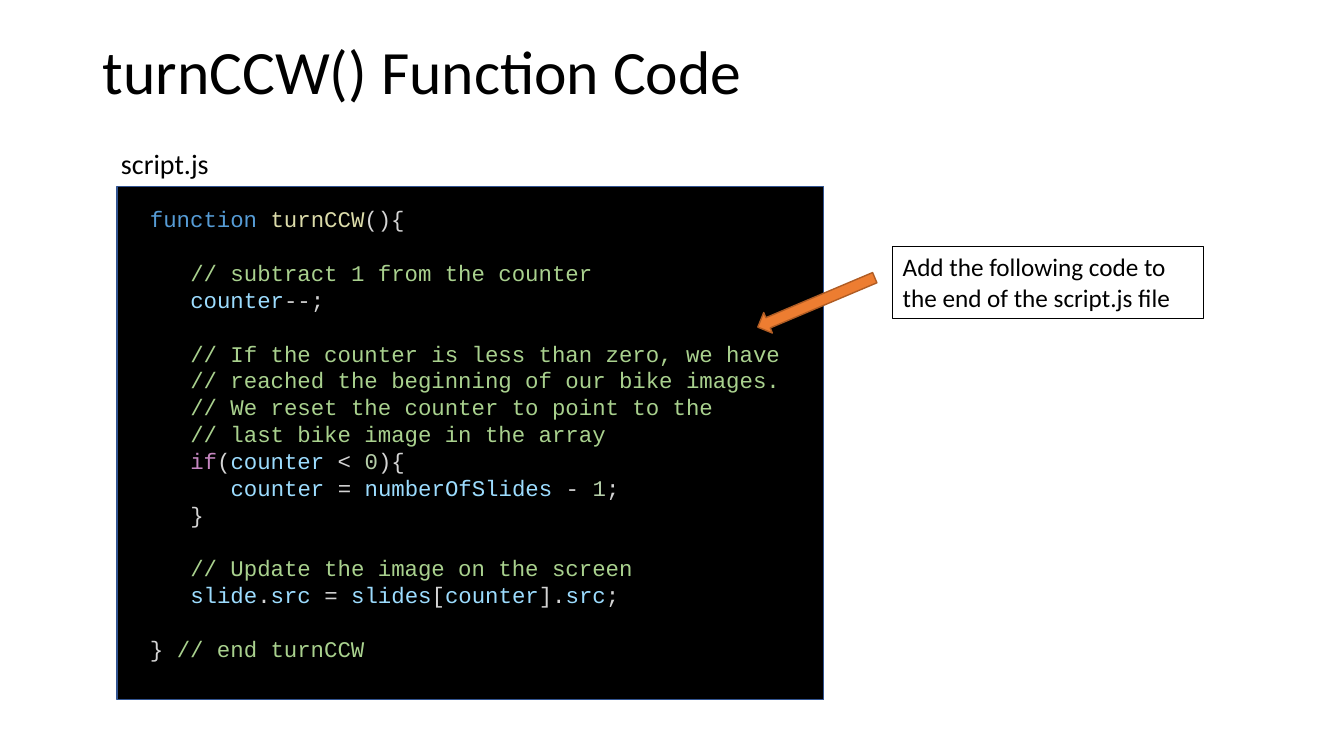
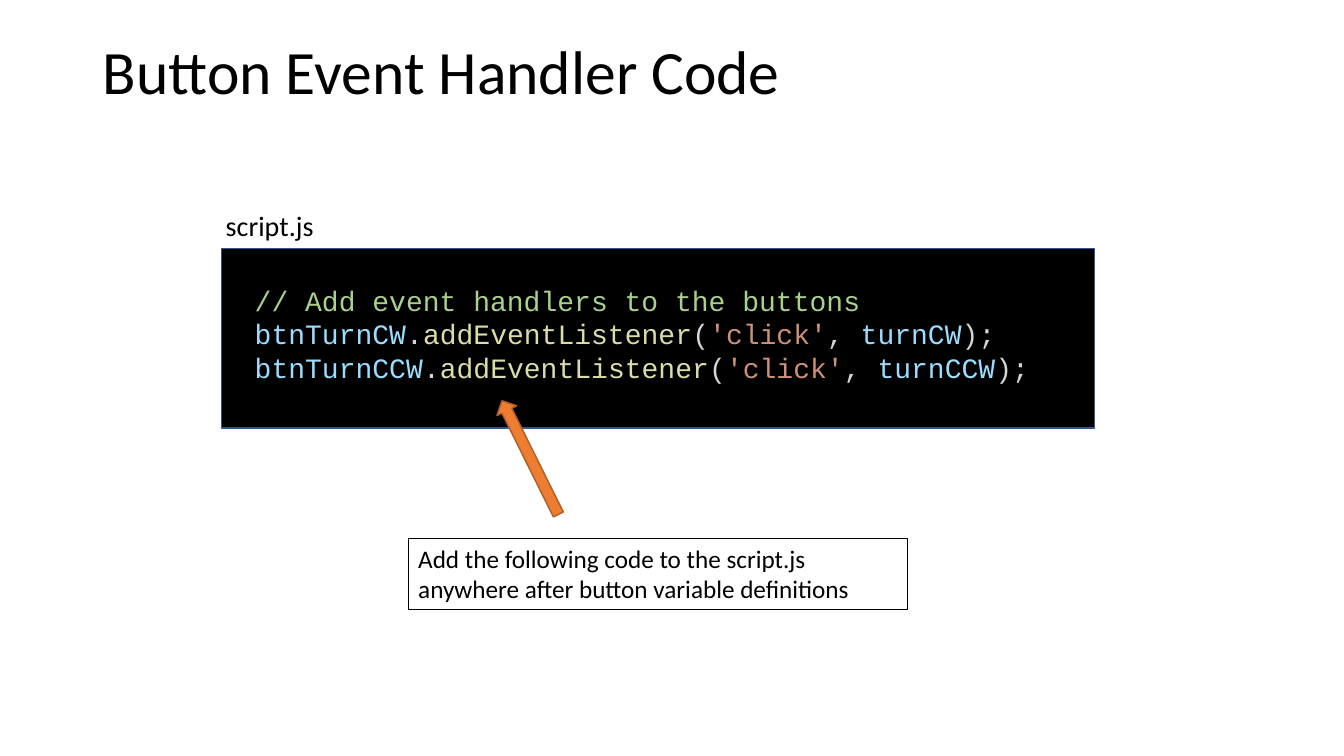
from dataclasses import dataclass

from pptx import Presentation
from pptx.dml.color import RGBColor
from pptx.enum.shapes import MSO_SHAPE
from pptx.enum.text import MSO_ANCHOR, PP_ALIGN
from pptx.shapes.autoshape import Shape
from pptx.slide import Slide
from pptx.text.text import Font
from pptx.util import Cm, Pt

# Shared style
SANS, MONO = "Calibri", "Courier New"
BLACK, BLUE = "000000", "325491"
ORANGE, RUST = "ED7D31", "AF5C24"
TINTS = {
    "key": "569CD6",
    "flow": "C586C0",
    "func": "DCDCAA",
    "var": "9CDCFE",
    "num": "B5CEA8",
    "str": "CE9178",
    "note": "A9D18E",
    "sign": "D4D4D4",
}
Token = tuple[str, str]


@dataclass
class Box:
    left: float
    top: float
    width: float
    height: float

    def place(self) -> tuple[Cm, Cm, Cm, Cm]:
        return Cm(self.left), Cm(self.top), Cm(self.width), Cm(self.height)


@dataclass
class Line:
    tokens: list[Token]
    depth: int = 0
    gap: bool = False


@dataclass
class Page:
    title: str
    panel: Box
    code: Box
    size: int
    lines: list[Line]
    hint: str
    frame: Box
    arrow: Box
    turn: float


TITLE = Box(2.34, 0.03, 29.21, 3.68)


# Drawing functions
def tint(code: str) -> RGBColor:
    return RGBColor.from_string(code)


def style(font: Font, face: str, size: float, color: str) -> None:
    font.name, font.size = face, Pt(size)
    font.color.rgb = tint(color)


def edge(shape: Shape, color: str, width: float) -> None:
    shape.line.color.rgb = tint(color)
    shape.line.width = Pt(width)


def draw_title(slide: Slide, text: str) -> None:
    title = slide.shapes.title
    title.left, title.top, title.width, title.height = TITLE.place()
    title.text_frame.text = text
    title.text_frame.vertical_anchor = MSO_ANCHOR.MIDDLE
    para = title.text_frame.paragraphs[0]
    para.alignment, para.line_spacing = PP_ALIGN.LEFT, 0.9
    style(para.runs[0].font, SANS, 44, BLACK)


def draw_shape(slide: Slide, kind: MSO_SHAPE, box: Box, fill: str, line: str) -> Shape:
    shape = slide.shapes.add_shape(kind, *box.place())
    shape.shadow.inherit = False
    shape.fill.solid()
    shape.fill.fore_color.rgb = tint(fill)
    edge(shape, line, 1)
    return shape


def draw_text(slide: Slide, box: Box, text: str, size: float, wrap: bool) -> Shape:
    shape = slide.shapes.add_textbox(*box.place())
    shape.text_frame.word_wrap = wrap
    shape.text_frame.text = text
    style(shape.text_frame.paragraphs[0].runs[0].font, SANS, size, BLACK)
    return shape


def draw_code(slide: Slide, box: Box, lines: list[Line], size: int) -> None:
    frame = slide.shapes.add_textbox(*box.place()).text_frame
    frame.word_wrap = True
    pitch = Pt(1.2 * size)
    step = Pt(3 * 0.6 * size)  # three characters per level
    for index, line in enumerate(lines):
        para = frame.add_paragraph() if index else frame.paragraphs[0]
        para.line_spacing = pitch
        para.space_before = pitch if line.gap else Pt(0)
        props = para._p.get_or_add_pPr()
        props.set("marL", str(line.depth * step))
        props.set("indent", "0")
        for kind, text in line.tokens:
            run = para.add_run()
            run.text = text
            style(run.font, MONO, size, TINTS[kind])


def draw_page(slide: Slide, page: Page) -> None:
    draw_title(slide, page.title)
    draw_shape(slide, MSO_SHAPE.RECTANGLE, page.panel, BLACK, BLUE)
    label = Box(page.panel.left - 0.15, page.panel.top - 1.14, 2.74, 1.12)
    draw_text(slide, label, "script.js", 20, False)
    draw_code(slide, page.code, page.lines, page.size)
    edge(draw_text(slide, page.frame, page.hint, 18, True), BLACK, 0.75)
    arrow = draw_shape(slide, MSO_SHAPE.RIGHT_ARROW, page.arrow, ORANGE, RUST)
    arrow.rotation = page.turn


# Code listings
def note(text: str, depth: int = 0, gap: bool = False) -> Line:
    return Line([("note", "// " + text)], depth, gap)


def listen(button: str, action: str) -> Line:
    return Line([("var", button), ("sign", "."), ("func", "addEventListener"),
                 ("sign", "("), ("str", "'click'"), ("sign", ", "),
                 ("var", action), ("sign", ");")])


TURN = [
    Line([("key", "function "), ("func", "turnCCW"), ("sign", "(){")]),
    note("subtract 1 from the counter", 1, True),
    Line([("var", "counter"), ("sign", "--;")], 1),
    note("If the counter is less than zero, we have", 1, True),
    note("reached the beginning of our bike images.", 1),
    note("We reset the counter to point to the", 1),
    note("last bike image in the array", 1),
    Line([("flow", "if"), ("sign", "("), ("var", "counter"), ("sign", " < "),
          ("num", "0"), ("sign", "){")], 1),
    Line([("var", "counter"), ("sign", " = "), ("var", "numberOfSlides"),
          ("sign", " - "), ("num", "1"), ("sign", ";")], 2),
    Line([("sign", "}")], 1),
    note("Update the image on the screen", 1, True),
    Line([("var", "slide"), ("sign", "."), ("var", "src"), ("sign", " = "),
          ("var", "slides"), ("sign", "["), ("var", "counter"), ("sign", "]."),
          ("var", "src"), ("sign", ";")], 1),
    Line([("sign", "} "), ("note", "// end turnCCW")], 0, True),
]
EVENTS = [
    note("Add event handlers to the buttons"),
    listen("btnTurnCW", "turnCW"),
    listen("btnTurnCCW", "turnCCW"),
]

# Slides
PAGES = [
    Page("turnCCW() Function Code",
         panel=Box(2.95, 4.7, 17.81, 12.93),
         code=Box(3.53, 5.05, 17.45, 12.22), size=16, lines=TURN,
         hint="Add the following code to the end of the script.js file",
         frame=Box(22.5, 6.22, 7.82, 1.8),
         arrow=Box(18.97, 7.34, 3.2, 0.56), turn=157.1),
    Page("Button Event Handler Code",
         panel=Box(5.59, 6.27, 22, 4.52),
         code=Box(6.17, 7.01, 23.34, 2.82), size=20, lines=EVENTS,
         hint="Add the following code to the script.js anywhere after "
              "button variable definitions",
         frame=Box(10.29, 13.56, 12.57, 1.8),
         arrow=Box(11.76, 11.25, 3.2, 0.56), turn=243.6),
]

deck = Presentation()
deck.slide_width, deck.slide_height = Cm(33.87), Cm(19.05)
for page in PAGES:
    draw_page(deck.slides.add_slide(deck.slide_layouts[5]), page)
deck.save("out.pptx")
